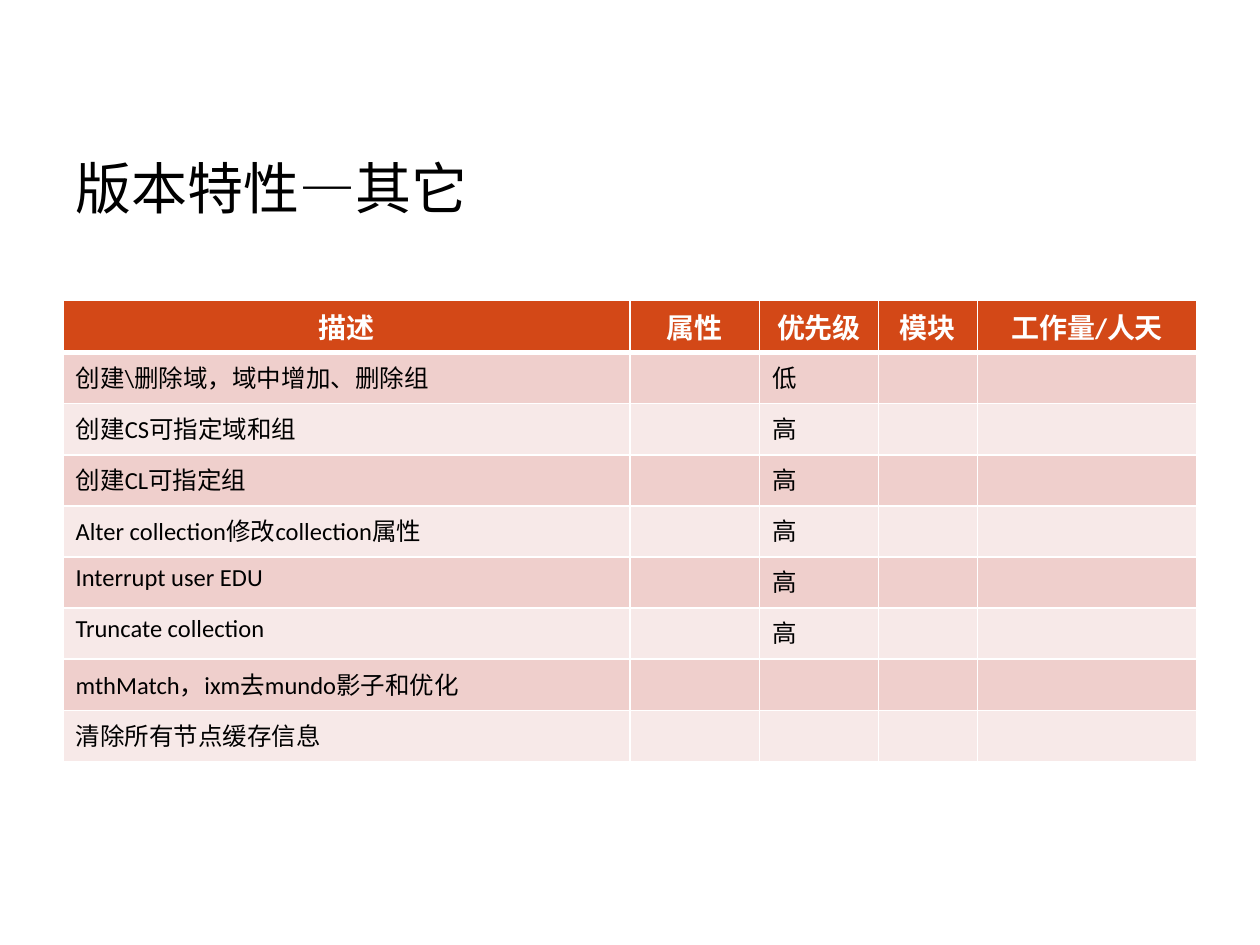
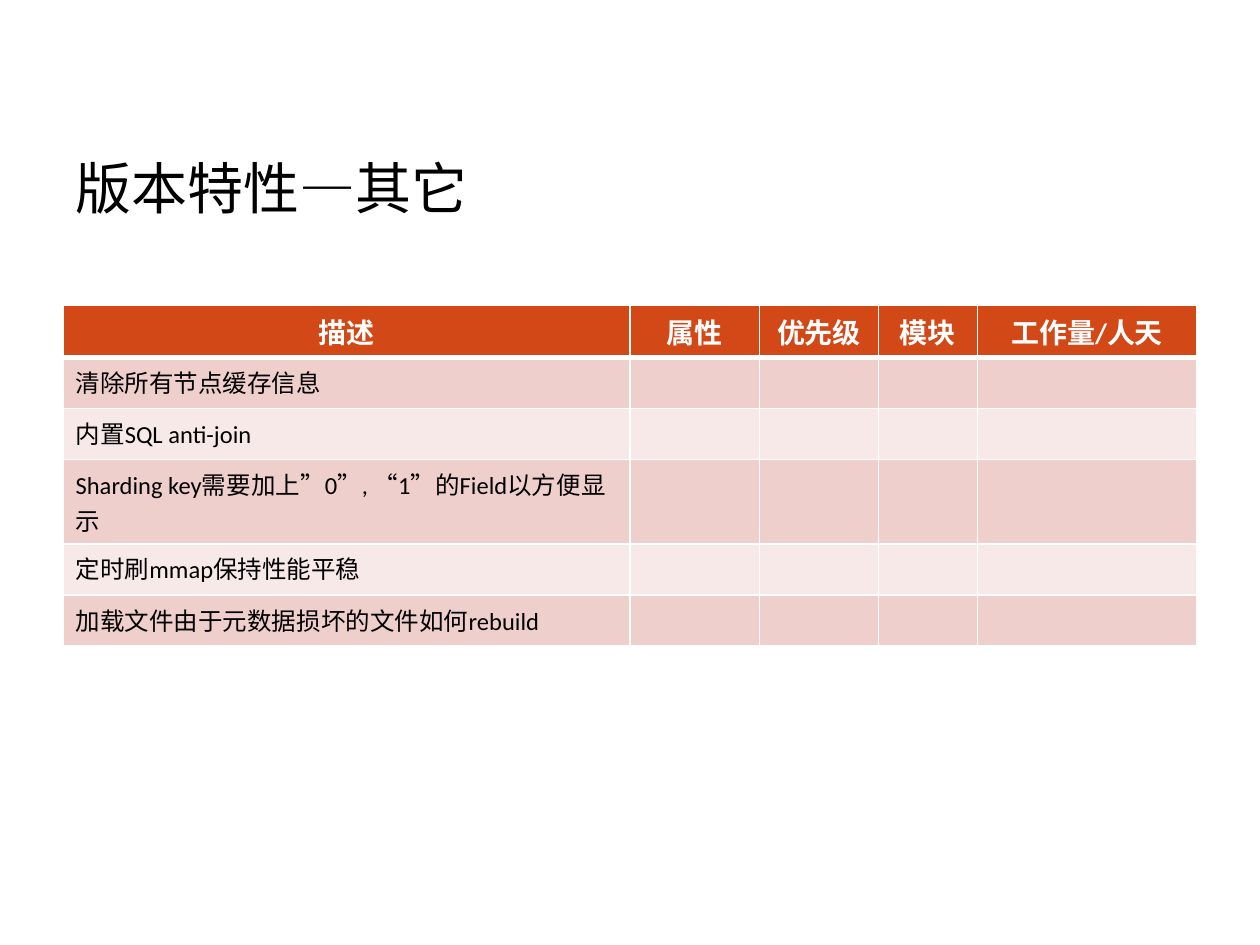
from lxml import etree
from pptx import Presentation
from pptx import util as u
from pptx.dml.color import RGBColor
from pptx.enum import text
from pptx.oxml.ns import qn

TITLE = "版本特性—其它"
HEADINGS = ["描述", "属性", "优先级", "模块", "工作量/人天"]
COLUMN_WIDTHS = [324, 74, 68, 56.5, 125.5]
PRIORITY_COLUMN = HEADINGS.index("优先级")

HEADER_HEIGHT = 30
ROW_HEIGHT = 29.2
TWO_LINE_HEIGHT = 48.2

# Top of the table, then (description, priority, row height) for each feature
FEATURE_PAGES = [
    (171.5, [
        ("创建\\删除域，域中增加、删除组", "低", ROW_HEIGHT),
        ("创建CS可指定域和组", "高", ROW_HEIGHT),
        ("创建CL可指定组", "高", ROW_HEIGHT),
        ("Alter collection修改collection属性", "高", ROW_HEIGHT),
        ("Interrupt user EDU", "高", ROW_HEIGHT),
        ("Truncate collection", "高", ROW_HEIGHT),
        ("mthMatch，ixm去mundo影子和优化", "", ROW_HEIGHT),
        ("清除所有节点缓存信息", "", ROW_HEIGHT),
    ]),
    (174.3, [
        ("清除所有节点缓存信息", "", ROW_HEIGHT),
        ("内置SQL anti-join", "", ROW_HEIGHT),
        ("Sharding key需要加上”0”, “1”的Field以方便显示", "", TWO_LINE_HEIGHT),
        ("定时刷mmap保持性能平稳", "", ROW_HEIGHT),
        ("加载文件由于元数据损坏的文件如何rebuild", "", ROW_HEIGHT),
    ]),
]


def rgb(hex_string):
    return RGBColor.from_string(hex_string)


class Deck:
    BLACK, WHITE = "000000", "FFFFFF"
    HEADER = "D34817"
    BANDS = ["EFCFCC", "F7E9E8"]
    LEFT, WIDTH = 36, 648

    def __init__(self):
        self.presentation = Presentation()
        self.presentation.slide_width = u.Pt(720)
        self.presentation.slide_height = u.Pt(540)
        self.slide = None

    def add_slide(self):
        blank = self.presentation.slide_layouts[6]
        self.slide = self.presentation.slides.add_slide(blank)

    def add_run(self, paragraph, words, size, color, font, bold=False):
        run = paragraph.add_run()
        run.text = words
        run.font.size = u.Pt(size)
        run.font.name = font
        run.font.bold = bold
        run.font.color.rgb = rgb(color)

    def add_title(self, words):
        title = self.slide.shapes.add_textbox(
            u.Pt(self.LEFT), u.Pt(62), u.Pt(self.WIDTH), u.Pt(90))
        frame = title.text_frame
        frame.word_wrap = True
        frame.vertical_anchor = text.MSO_ANCHOR.MIDDLE
        self.add_run(frame.paragraphs[0], words, 32, self.BLACK, "Arial")

    def set_borders(self, cell, top=1, bottom=1):
        """Draw white cell edges; the widths are in points."""
        properties = cell._tc.get_or_add_tcPr()
        for side, width in (("L", 1), ("R", 1), ("T", top), ("B", bottom)):
            line = etree.SubElement(properties, qn(f"a:ln{side}"), w=str(u.Pt(width)))
            fill = etree.SubElement(line, qn("a:solidFill"))
            etree.SubElement(fill, qn("a:srgbClr"), val=self.WHITE)

    def fill_cell(self, cell, color):
        cell.fill.solid()
        cell.fill.fore_color.rgb = rgb(color)

    def add_feature_table(self, top, features):
        heights = [HEADER_HEIGHT] + [height for _, _, height in features]
        table = self.slide.shapes.add_table(
            len(heights), len(HEADINGS), u.Pt(self.LEFT), u.Pt(top),
            u.Pt(self.WIDTH), u.Pt(sum(heights))).table
        for column, width in zip(table.columns, COLUMN_WIDTHS):
            column.width = u.Pt(width)
        for row, height in zip(table.rows, heights):
            row.height = u.Pt(height)

        for column, heading in enumerate(HEADINGS):
            cell = table.cell(0, column)
            self.set_borders(cell, bottom=3)
            self.fill_cell(cell, self.HEADER)
            paragraph = cell.text_frame.paragraphs[0]
            paragraph.alignment = text.PP_ALIGN.CENTER
            self.add_run(paragraph, heading, 16, self.WHITE, "Calibri", bold=True)

        for index, (description, priority, _) in enumerate(features):
            entries = {0: description, PRIORITY_COLUMN: priority}
            for column in range(len(HEADINGS)):
                cell = table.cell(index + 1, column)
                self.set_borders(cell, top=3 if index == 0 else 1)
                self.fill_cell(cell, self.BANDS[index % 2])
                if entries.get(column):
                    self.add_run(cell.text_frame.paragraphs[0], entries[column],
                                 14, self.BLACK, "Calibri")


def main():
    deck = Deck()
    for top, features in FEATURE_PAGES:
        deck.add_slide()
        deck.add_title(TITLE)
        deck.add_feature_table(top, features)
    deck.presentation.save("out.pptx")


if __name__ == "__main__":
    main()
